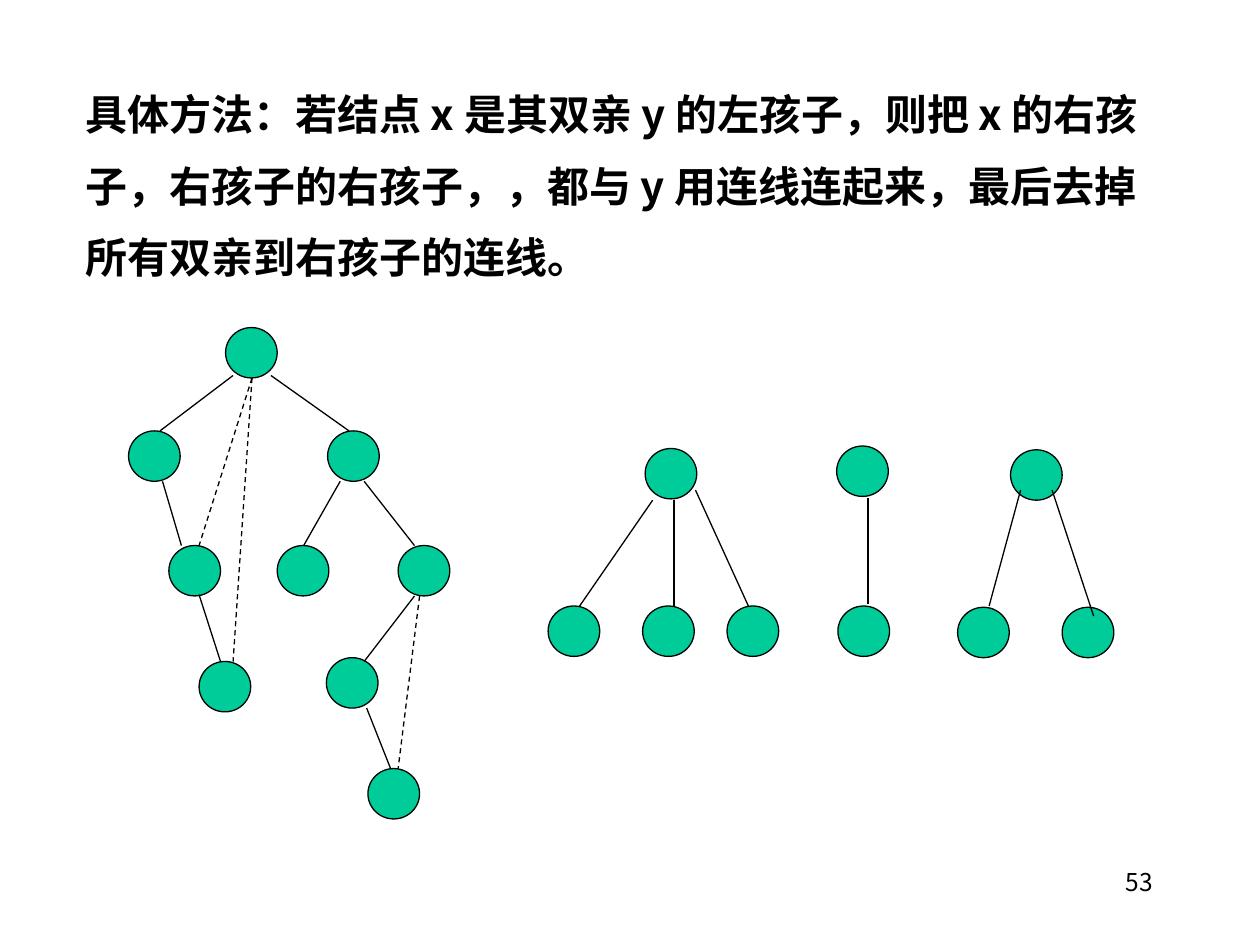
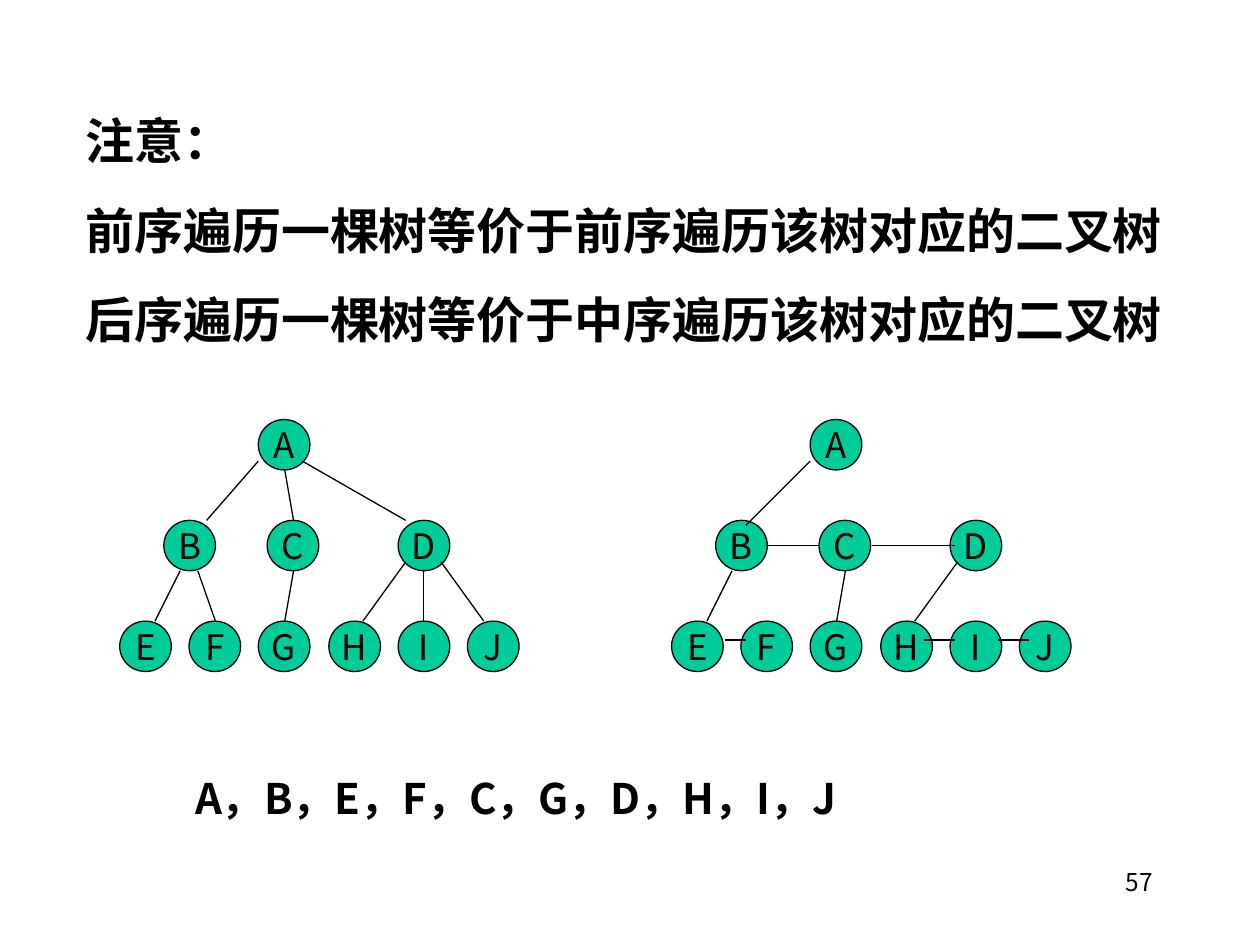
import dataclasses

import pptx
import pptx.dml.color
import pptx.enum.dml
import pptx.enum.shapes
import pptx.enum.text
import pptx.oxml
import pptx.oxml.ns
import pptx.util
from lxml import etree

PX = 9144  # EMU: 100 px to the inch


@dataclasses.dataclass(frozen=True)
class Theme:
    ink: pptx.dml.color.RGBColor = pptx.dml.color.RGBColor.from_string("000000")
    node: pptx.dml.color.RGBColor = pptx.dml.color.RGBColor.from_string("00CC99")
    font: str = "Noto Sans CJK JP"
    heading: int = 28
    body: int = 24
    label: int = 20
    number: int = 14
    line: float = 0.75
    node_size: tuple = (41, 40)


THEME = Theme()
ALIGN = pptx.enum.text.PP_ALIGN

# Trees: nodes are (label, x, y), edges are (x1, y1, x2, y2), all within the tree's box
BINARY_NODES = [("", x, y) for x, y in (
    (77, 0), (0, 82), (158, 82), (214, 173), (32, 173),
    (56, 265), (118, 173), (157, 262), (190, 350))]
BINARY_EDGES = [
    (83, 38, 25, 82), (113, 38, 175, 82), (27, 122, 42, 173), (56, 212, 73, 265),
    (168, 122, 139, 173), (187, 122, 227, 173), (227, 213, 187, 265),
    (189, 302, 208, 350)]
ADDED_EDGES = [(98, 40, 56, 173), (98, 40, 83, 265), (231, 213, 214, 350)]

FOREST = [  # box, nodes, edges
    ((435, 356), [("", 77, 0), ("", 0, 125), ("", 75, 125), ("", 142, 125)],
     [(83, 41, 25, 125), (100, 41, 100, 125), (117, 33, 159, 125)]),
    ((664, 354), [("", 0, 0), ("", 1, 127)], [(25, 41, 25, 125)]),
    ((760, 357), [("", 42, 0), ("", 0, 125), ("", 83, 125)],
     [(50, 32, 25, 124), (75, 32, 108, 132)]),
]

LETTER_NODES = [("A", 110, 0), ("B", 35, 80), ("C", 117, 80), ("D", 221, 80)]
LETTER_NODES += [(leaf, round(i * 55.25), 160) for i, leaf in enumerate("EFGHIJ")]
FIRST_CHILD_EDGES = [(48, 120, 28, 160), (138, 120, 131, 160), (227, 113, 193, 160)]
TREE_EDGES = FIRST_CHILD_EDGES + [
    (110, 33, 69, 80), (131, 40, 138, 80), (145, 33, 227, 80),
    (62, 120, 76, 160), (241, 120, 241, 160), (255, 113, 289, 160)]
SIBLING_EDGES = [
    (75, 100, 117, 100), (159, 100, 225, 100),
    (42, 175, 59, 175), (200, 175, 225, 175), (259, 175, 284, 175)]
LINKED_EDGES = [(110, 33, 59, 84)] + FIRST_CHILD_EDGES + SIBLING_EDGES


def format_paragraph(paragraph, size, bold=False, align=ALIGN.LEFT, before=0.0, spacing=1.0):
    paragraph.alignment = align
    paragraph.space_before = pptx.util.Pt(before)
    paragraph.line_spacing = spacing
    for run in paragraph.runs:
        run.font.size = pptx.util.Pt(size)
        run.font.bold = bold
        run.font.name = THEME.font
        run.font.color.rgb = THEME.ink
        east_asian = etree.SubElement(run.font._element, pptx.oxml.ns.qn("a:ea"))
        east_asian.set("typeface", THEME.font)


def add_text(slide, box, lines, size, **style):
    frame = slide.shapes.add_textbox(*(v * PX for v in box)).text_frame
    frame.word_wrap = True
    frame.text = "\n".join(lines)
    for paragraph in frame.paragraphs:
        format_paragraph(paragraph, size, **style)


def add_page_number(slide, number):
    add_text(slide, (717, 683, 208, 50), [str(number)], THEME.number,
             align=ALIGN.RIGHT, before=8.8)


def add_node(shapes, left, top, label):
    width, height = THEME.node_size
    node = shapes.add_shape(pptx.enum.shapes.MSO_SHAPE.OVAL,
                            left * PX, top * PX, width * PX, height * PX)
    node.shadow.inherit = False
    node.fill.solid()
    node.fill.fore_color.rgb = THEME.node
    node.line.color.rgb = THEME.ink
    node.line.width = pptx.util.Pt(THEME.line)
    if label:
        frame = node.text_frame
        frame.word_wrap = False
        frame.vertical_anchor = pptx.enum.text.MSO_ANCHOR.MIDDLE
        frame.text = label
        format_paragraph(frame.paragraphs[0], THEME.label, align=ALIGN.CENTER)


def add_edge(shapes, origin, edge, dashed=False):
    x, y = origin
    x1, y1, x2, y2 = edge
    link = shapes.add_connector(pptx.enum.shapes.MSO_CONNECTOR.STRAIGHT,
                                (x + x1) * PX, (y + y1) * PX, (x + x2) * PX, (y + y2) * PX)
    link.line.color.rgb = THEME.ink
    link.line.width = pptx.util.Pt(THEME.line)
    if dashed:
        link.line.dash_style = pptx.enum.dml.MSO_LINE.DASH
    etree.SubElement(link._element.spPr, pptx.oxml.ns.qn("a:effectLst"))


def add_tree(shapes, origin, nodes, edges, dashed_edges=()):
    x, y = origin
    for label, left, top in nodes:
        add_node(shapes, x + left, y + top, label)
    for edge in edges:
        add_edge(shapes, origin, edge)
    for edge in dashed_edges:
        add_edge(shapes, origin, edge, dashed=True)


def build_conversion_slide(slide):
    # Method
    add_text(slide, (58, 70, 883, 196), [
        "具体方法：若结点 x 是其双亲 y 的左孩子，则把 x 的右孩",
        "子，右孩子的右孩子，，都与 y 用连线连起来，最后去掉",
        "所有双亲到右孩子的连线。",
    ], THEME.body, bold=True, before=15, spacing=0.9)
    # Binary tree and the forest it turns into
    add_tree(slide.shapes, (102, 260), BINARY_NODES, BINARY_EDGES, ADDED_EDGES)
    for origin, nodes, edges in FOREST:
        add_tree(slide.shapes, origin, nodes, edges)
    add_page_number(slide, 53)


def build_traversal_slide(slide):
    # Rules
    add_text(slide, (58, 83, 900, 199), [
        "注意：",
        "前序遍历一棵树等价于前序遍历该树对应的二叉树",
        "后序遍历一棵树等价于中序遍历该树对应的二叉树",
    ], THEME.heading, bold=True, before=17.5)
    # Tree and its binary form
    add_tree(slide.shapes.add_group_shape().shapes, (95, 333), LETTER_NODES, TREE_EDGES)
    add_tree(slide.shapes, (533, 333), LETTER_NODES, LINKED_EDGES)
    # Preorder sequence
    add_text(slide, (145, 608, 666, 50), ["，".join("ABEFCGDHIJ")],
             THEME.body, bold=True, before=15)
    add_page_number(slide, 57)


def main():
    deck = pptx.Presentation()
    deck.slide_width, deck.slide_height = 1000 * PX, 750 * PX
    blank = deck.slide_layouts[6]
    for build in (build_conversion_slide, build_traversal_slide):
        build(deck.slides.add_slide(blank))
    deck.save("out.pptx")


if __name__ == "__main__":
    main()
